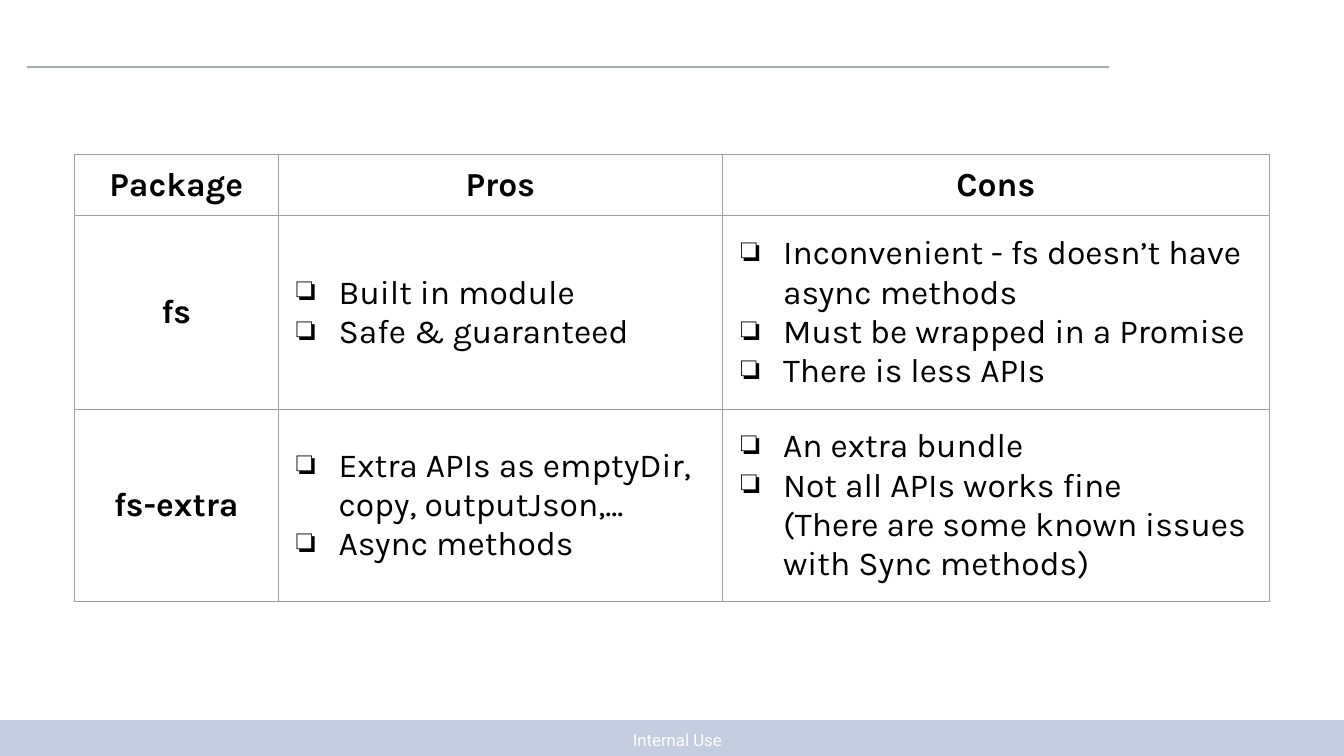
from lxml.etree import SubElement
from pptx import Presentation
from pptx.dml.color import RGBColor
from pptx.enum.shapes import MSO_CONNECTOR, MSO_SHAPE
from pptx.enum.text import MSO_ANCHOR, PP_ALIGN
from pptx.oxml import parse_xml
from pptx.oxml.ns import nsdecls, qn
from pptx.util import Pt

HEADS = ["Package", "Pros", "Cons"]
ROWS = [
    ("fs",
     ["Built in module", "Safe & guaranteed"],
     ["Inconvenient - fs doesn’t have async methods",
      "Must be wrapped in a Promise",
      "There is less APIs"]),
    ("fs-extra",
     ["Extra APIs as emptyDir, copy, outputJson,...", "Async methods"],
     ["An extra bundle",
      "Not all APIs works fine",
      "(There are some known issues with Sync methods)"]),
]
FOOTER = "Internal Use"

BLACK = RGBColor(0x00, 0x00, 0x00)
WHITE = RGBColor(0xFF, 0xFF, 0xFF)
BAND = RGBColor(0x8B, 0x9D, 0xC3)
RULE = RGBColor(0xA6, 0xAC, 0xAD)
GRID = RGBColor(0x9E, 0x9E, 0x9E)

WIDE, HIGH = 960, 540
BAND_TOP = 514.3
LEFT, TOP = 53.2, 110.2
COLS = [145.5, 317.5, 390.3]
LINES = [43.9, 138.2, 137.5]
PAD = 7.2
INDENT, HANG = 36, 30


def add_run(para, text, font, size, color, bold=False):
    run = para.add_run()
    run.text = text
    run.font.name = font
    run.font.size = Pt(size)
    run.font.bold = bold
    run.font.color.rgb = color


def set_bullet(para, shown):
    """Indent the paragraph and give it a box bullet if shown."""
    props = para._p.get_or_add_pPr()
    props.set("marL", str(Pt(INDENT)))
    props.set("indent", str(-Pt(HANG) if shown else 0))
    if shown:
        color = SubElement(props, qn("a:buClr"))
        SubElement(color, qn("a:srgbClr"), val=str(BLACK))
        SubElement(props, qn("a:buChar"), char="❏")
    else:
        SubElement(props, qn("a:buNone"))


def set_border(cell):
    props = cell._tc.get_or_add_tcPr()
    for spot, side in enumerate("LRTB"):
        props.insert(spot, parse_xml(
            f'<a:ln{side} {nsdecls("a")} w="{Pt(0.75)}"><a:solidFill>'
            f'<a:srgbClr val="{GRID}"/></a:solidFill></a:ln{side}>'))


def fill_cell(cell, entry, bold):
    """Write a centred label (str) or a bulleted list into the cell."""
    cell.fill.background()
    set_border(cell)
    cell.vertical_anchor = MSO_ANCHOR.MIDDLE
    cell.margin_left = cell.margin_right = Pt(PAD)
    cell.margin_top = cell.margin_bottom = Pt(PAD)
    label = isinstance(entry, str)
    frame = cell.text_frame
    for num, text in enumerate([entry] if label else entry):
        para = frame.add_paragraph() if num else frame.paragraphs[0]
        if label:
            para.alignment = PP_ALIGN.CENTER
        else:
            set_bullet(para, not text.startswith("("))
        add_run(para, text, "Karla", 24, BLACK, bold)


def add_footer(slide):
    band = slide.shapes.add_shape(
        MSO_SHAPE.RECTANGLE, 0, Pt(BAND_TOP), Pt(WIDE), Pt(HIGH - BAND_TOP))
    band.shadow.inherit = False
    band.fill.solid()
    band.fill.fore_color.rgb = BAND
    band.line.fill.background()
    tint = band.fill._xPr.find(qn("a:solidFill"))[0]
    SubElement(tint, qn("a:alpha"), val="50000")

    box = slide.shapes.add_textbox(Pt(445), Pt(517.7), Pt(80), Pt(21.6))
    frame = box.text_frame
    frame.word_wrap = True
    frame.paragraphs[0].alignment = PP_ALIGN.JUSTIFY
    add_run(frame.paragraphs[0], FOOTER, "Roboto", 12, WHITE)


def add_rule(slide):
    rule = slide.shapes.add_connector(
        MSO_CONNECTOR.STRAIGHT, Pt(19), Pt(48), Pt(792), Pt(48))
    rule.line.color.rgb = RULE
    rule.line.width = Pt(1.5)
    SubElement(rule._element.spPr, qn("a:effectLst"))


def add_grid(slide):
    grid = [HEADS, *ROWS]
    table = slide.shapes.add_table(
        len(grid), len(HEADS), Pt(LEFT), Pt(TOP),
        Pt(sum(COLS)), Pt(sum(LINES))).table
    table.first_row = table.horz_banding = False
    for col, width in zip(table.columns, COLS):
        col.width = Pt(width)
    for row, height, entries in zip(table.rows, LINES, grid):
        row.height = Pt(height)
        for cell, entry in zip(row.cells, entries):
            fill_cell(cell, entry, isinstance(entry, str))


def main():
    deck = Presentation()
    deck.slide_width, deck.slide_height = Pt(WIDE), Pt(HIGH)
    slide = deck.slides.add_slide(deck.slide_layouts[6])
    add_footer(slide)
    add_rule(slide)
    add_grid(slide)
    deck.save("out.pptx")


if __name__ == "__main__":
    main()
